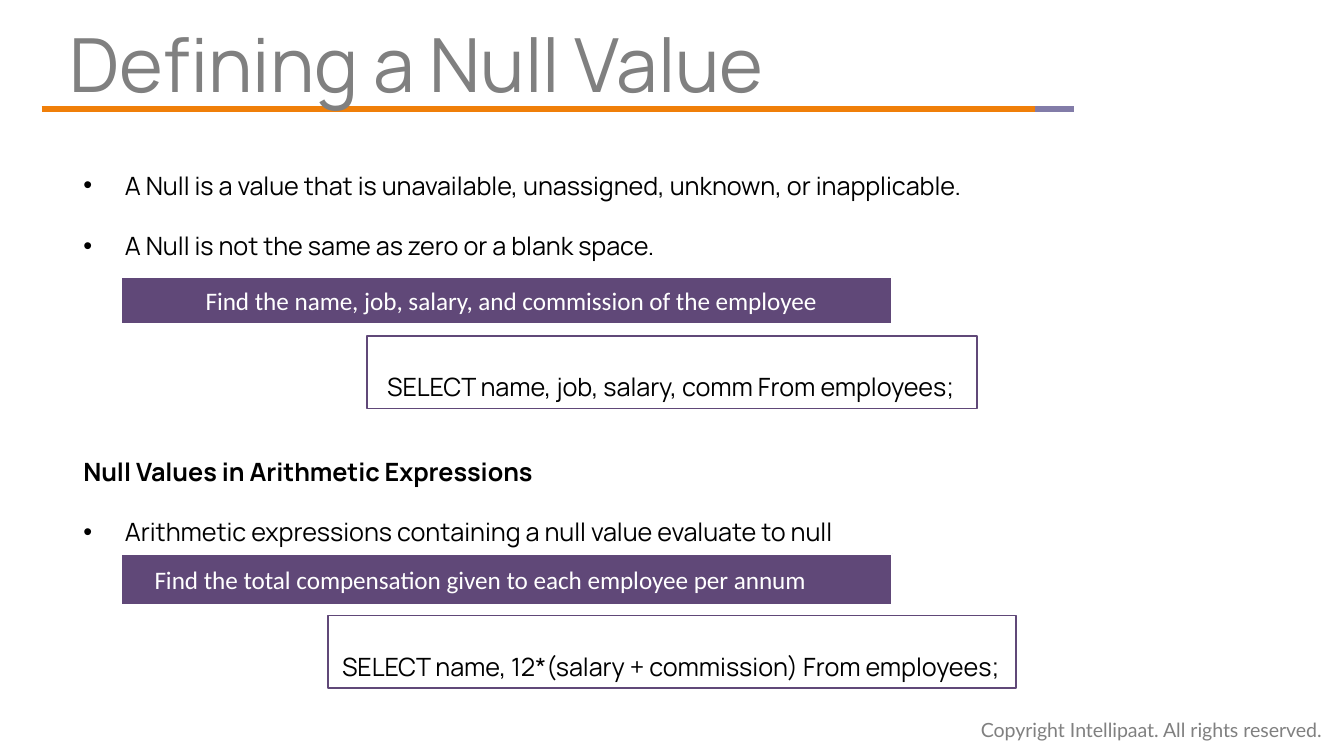
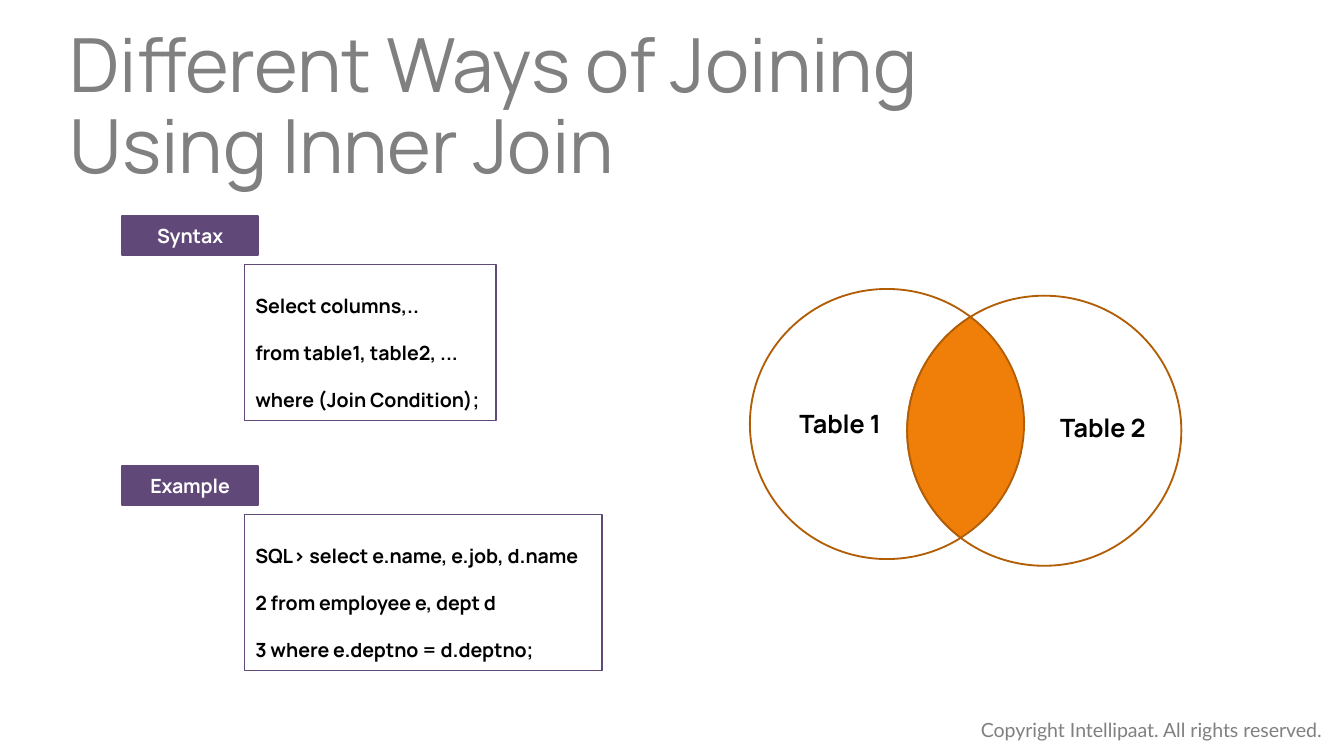
from dataclasses import dataclass
from math import acos, atan2, cos, hypot, pi, sin
from typing import NamedTuple

from lxml.etree import SubElement
from pptx import Presentation
from pptx.dml.color import RGBColor
from pptx.enum.shapes import MSO_CONNECTOR, MSO_SHAPE
from pptx.enum.text import MSO_ANCHOR, MSO_AUTO_SIZE, PP_ALIGN
from pptx.oxml.ns import qn
from pptx.shapes.autoshape import Shape
from pptx.shapes.group import GroupShape
from pptx.shapes.shapetree import SlideShapes
from pptx.slide import Slide
from pptx.util import Emu, Pt

PX_PER_INCH = 100
EMU_PER_PX = 914400 // PX_PER_INCH
PAGE_WIDTH = 1000

GREY = "808080"
BLACK = "000000"
WHITE = "FFFFFF"
PURPLE = "604878"
LILAC = "827CA8"
ORANGE = "F07F09"
BROWN = "B25E07"
ARC_STEPS = 32


class Frame(NamedTuple):
    left: int
    top: int
    width: int
    height: int


class Insets(NamedTuple):
    left: int = 10
    top: int = 5
    right: int = 10
    bottom: int = 5


@dataclass(frozen=True)
class TextStyle:
    font: str
    size: float
    color: str
    bold: bool = False
    align: PP_ALIGN = PP_ALIGN.LEFT
    spacing: float = 1.0
    anchor: MSO_ANCHOR = MSO_ANCHOR.TOP
    insets: Insets = Insets()


@dataclass(frozen=True)
class Line:
    text: str
    bullet: bool = True


@dataclass(frozen=True)
class Panel:
    frame: Frame
    lines: tuple[str, ...]
    style: TextStyle
    fill: str | None
    border: str
    border_width: float
    indent: int = 0


CODE_INSETS = Insets(8, 4, 10, 12)
BAND_INSETS = Insets(25, 1, 25, 1)
TITLE = TextStyle("Manrope", 40, GREY, spacing=0.9, insets=Insets(left=0))
FOOTER = TextStyle("Lato", 10.5, GREY)
BODY = TextStyle("Manrope", 13.5, BLACK, spacing=2)
HEADING = TextStyle("Manrope", 13.5, BLACK, bold=True, spacing=2)
QUERY = TextStyle("Manrope", 13.5, BLACK, align=PP_ALIGN.CENTER, spacing=2, insets=CODE_INSETS)
CODE = TextStyle("Manrope", 10.5, BLACK, bold=True, spacing=2, insets=CODE_INSETS)
BAND = TextStyle("Calibri", 13.5, WHITE, anchor=MSO_ANCHOR.MIDDLE, insets=BAND_INSETS)
TAG = TextStyle(
    "Manrope", 10.5, WHITE, bold=True, align=PP_ALIGN.CENTER, anchor=MSO_ANCHOR.MIDDLE
)
TABLE_LABEL = TextStyle("Manrope", 13.5, BLACK, bold=True)

TITLE_FRAME = Frame(52, 16, 710, 63)
FOOTER_FRAME = Frame(720, 529, 283, 28)


def px(length: float) -> Emu:
    return Emu(round(length * EMU_PER_PX))


def rgb(color: str) -> RGBColor:
    return RGBColor.from_string(color)


def place(box: Shape, frame: Frame) -> None:
    box.left, box.top, box.width, box.height = map(px, frame)


def prepare_text(box: Shape, style: TextStyle) -> None:
    text = box.text_frame
    text.word_wrap = True
    text.auto_size = MSO_AUTO_SIZE.NONE
    text.vertical_anchor = style.anchor
    text.margin_left, text.margin_top, text.margin_right, text.margin_bottom = map(
        px, style.insets
    )


def add_line(box: Shape, line: str, style: TextStyle, first: bool, indent: int = 0,
             hanging: int = 0, bullet: bool = False) -> None:
    text = box.text_frame
    para = text.paragraphs[0] if first else text.add_paragraph()
    para.alignment = style.align
    para.line_spacing = style.spacing
    para.space_before = Pt(0)
    properties = para._p.get_or_add_pPr()
    properties.set("marL", str(px(indent)))
    properties.set("indent", str(px(-hanging)))
    if bullet:
        SubElement(properties, qn("a:buFont")).set("typeface", "Arial")
        SubElement(properties, qn("a:buChar")).set("char", "•")
    else:
        SubElement(properties, qn("a:buNone"))
    span = para.add_run()
    span.text = line
    span.font.name = style.font
    span.font.size = Pt(style.size)
    span.font.bold = style.bold
    span.font.color.rgb = rgb(style.color)


def paint(box: Shape, fill: str | None, border: str, width: float) -> None:
    box.shadow.inherit = False
    if fill:
        box.fill.solid()
        box.fill.fore_color.rgb = rgb(fill)
    else:
        box.fill.background()
    box.line.color.rgb = rgb(border)
    box.line.width = Pt(width)


def add_label(shapes: SlideShapes, frame: Frame, text: str, style: TextStyle) -> None:
    box = shapes.add_textbox(*map(px, frame))
    prepare_text(box, style)
    add_line(box, text, style, first=True)


def add_panel(page: Slide, panel: Panel) -> None:
    box = page.shapes.add_shape(MSO_SHAPE.RECTANGLE, *map(px, panel.frame))
    paint(box, panel.fill, panel.border, panel.border_width)
    prepare_text(box, panel.style)
    for position, line in enumerate(panel.lines):
        add_line(box, line, panel.style, position == 0, panel.indent)


def band(frame: Frame, text: str, indent: int = 0) -> Panel:
    return Panel(frame, (text,), BAND, PURPLE, WHITE, 1, indent)


def code(frame: Frame, lines: tuple[str, ...], style: TextStyle) -> Panel:
    return Panel(frame, lines, style, None, PURPLE, 0.75)


def tag(top: int, text: str) -> Panel:
    return Panel(Frame(91, top, 101, 29), (text,), TAG, PURPLE, PURPLE, 1)


def fill_list(box: Shape, frame: Frame, lines: tuple[Line, ...]) -> None:
    place(box, frame)
    prepare_text(box, BODY)
    for position, line in enumerate(lines):
        style, indent = (BODY, 31) if line.bullet else (HEADING, 0)
        add_line(box, line.text, style, position == 0, indent, indent, line.bullet)


def add_page(deck: Presentation, layout: str, title: str) -> Slide:
    page = deck.slides.add_slide(deck.slide_layouts.get_by_name(layout))
    box = page.shapes.title
    place(box, TITLE_FRAME)
    prepare_text(box, TITLE)
    add_line(box, title, TITLE, first=True)
    add_label(page.shapes, FOOTER_FRAME, "Copyright Intellipaat. All rights reserved.", FOOTER)
    return page


def add_title_rule(page: Slide, start: int, end: int, color: str) -> None:
    rule = page.shapes.add_connector(
        MSO_CONNECTOR.STRAIGHT, px(start), px(81), px(end), px(81)
    )
    rule.line.color.rgb = rgb(color)
    rule.line.width = Pt(3)
    SubElement(rule.element.spPr, qn("a:effectLst"))
    page.shapes.title.element.addprevious(rule.element)


def arc(circle: Frame, middle: float, half: float) -> list[tuple[Emu, Emu]]:
    radius_x, radius_y = circle.width / 2, circle.height / 2
    angles = [middle + half * (2 * step / ARC_STEPS - 1) for step in range(ARC_STEPS + 1)]
    return [
        (
            px(circle.left + radius_x * (1 + cos(angle))),
            px(circle.top + radius_y * (1 + sin(angle))),
        )
        for angle in angles
    ]


def add_overlap(venn: GroupShape, left: Frame, right: Frame) -> None:
    shift_x = 2 * (right.left - left.left) / left.width
    shift_y = 2 * (right.top - left.top) / left.height
    direction = atan2(shift_y, shift_x)
    half = acos(hypot(shift_x, shift_y) / 2)
    points = arc(left, direction, half) + arc(right, direction + pi, half)[1:-1]
    outline = venn.shapes.build_freeform(*points[0])
    outline.add_line_segments(points[1:], close=True)
    paint(outline.convert_to_shape(), ORANGE, BROWN, 1)


def add_venn(page: Slide) -> None:
    left, right = Frame(558, 215, 204, 201), Frame(675, 220, 204, 201)
    venn = page.shapes.add_group_shape()
    for circle in (left, right):
        paint(venn.shapes.add_shape(MSO_SHAPE.OVAL, *map(px, circle)), WHITE, BROWN, 1)
    add_overlap(venn, left, right)
    add_label(venn.shapes, Frame(585, 299, 84, 33), "Table 1", TABLE_LABEL)
    add_label(venn.shapes, Frame(779, 302, 84, 33), "Table 2", TABLE_LABEL)


def build_null_page(deck: Presentation) -> None:
    page = add_page(deck, "Two Content", "Defining a Null Value")
    add_title_rule(page, 31, 770, ORANGE)
    add_title_rule(page, 770, 799, LILAC)
    fill_list(page.placeholders[1], Frame(52, 99, 822, 94), (
        Line("A Null is a value that is unavailable, unassigned, unknown, or inapplicable."),
        Line("A Null is not the same as zero or a blank space."),
    ))
    fill_list(page.placeholders[2], Frame(52, 312, 804, 94), (
        Line("Null Values in Arithmetic Expressions", bullet=False),
        Line("Arithmetic expressions containing a null value evaluate to null"),
    ))
    for panel in (
        code(Frame(273, 250, 454, 54),
             ("SELECT name, job, salary, comm From employees;",), QUERY),
        code(Frame(244, 458, 512, 54),
             ("SELECT name, 12*(salary + commission) From employees;",), QUERY),
        band(Frame(90, 206, 574, 35),
             "Find the name, job, salary, and commission of the employee", 38),
        band(Frame(90, 412, 574, 38),
             "Find the total compensation given to each employee per annum"),
    ):
        add_panel(page, panel)


def build_join_page(deck: Presentation) -> None:
    page = add_page(deck, "Title Only", "Different Ways of Joining Using Inner Join")
    samples = (
        ("Syntax", 161, 187,
         ("Select columns,..", "from table1, table2, ...", "where (Join Condition);")),
        ("Example", 347, 266,
         ("SQL> select e.name, e.job, d.name", "2 from employee e, dept d",
          "3 where e.deptno = d.deptno;")),
    )
    for name, top, width, lines in samples:
        add_panel(page, code(Frame(182, top + 36, width, 116), lines, CODE))
        add_panel(page, tag(top, name))
    add_venn(page)


def main() -> None:
    deck = Presentation()
    deck.slide_width = px(PAGE_WIDTH)
    deck.slide_height = px(PAGE_WIDTH * 9 / 16)
    build_null_page(deck)
    build_join_page(deck)
    deck.save("out.pptx")


if __name__ == "__main__":
    main()
